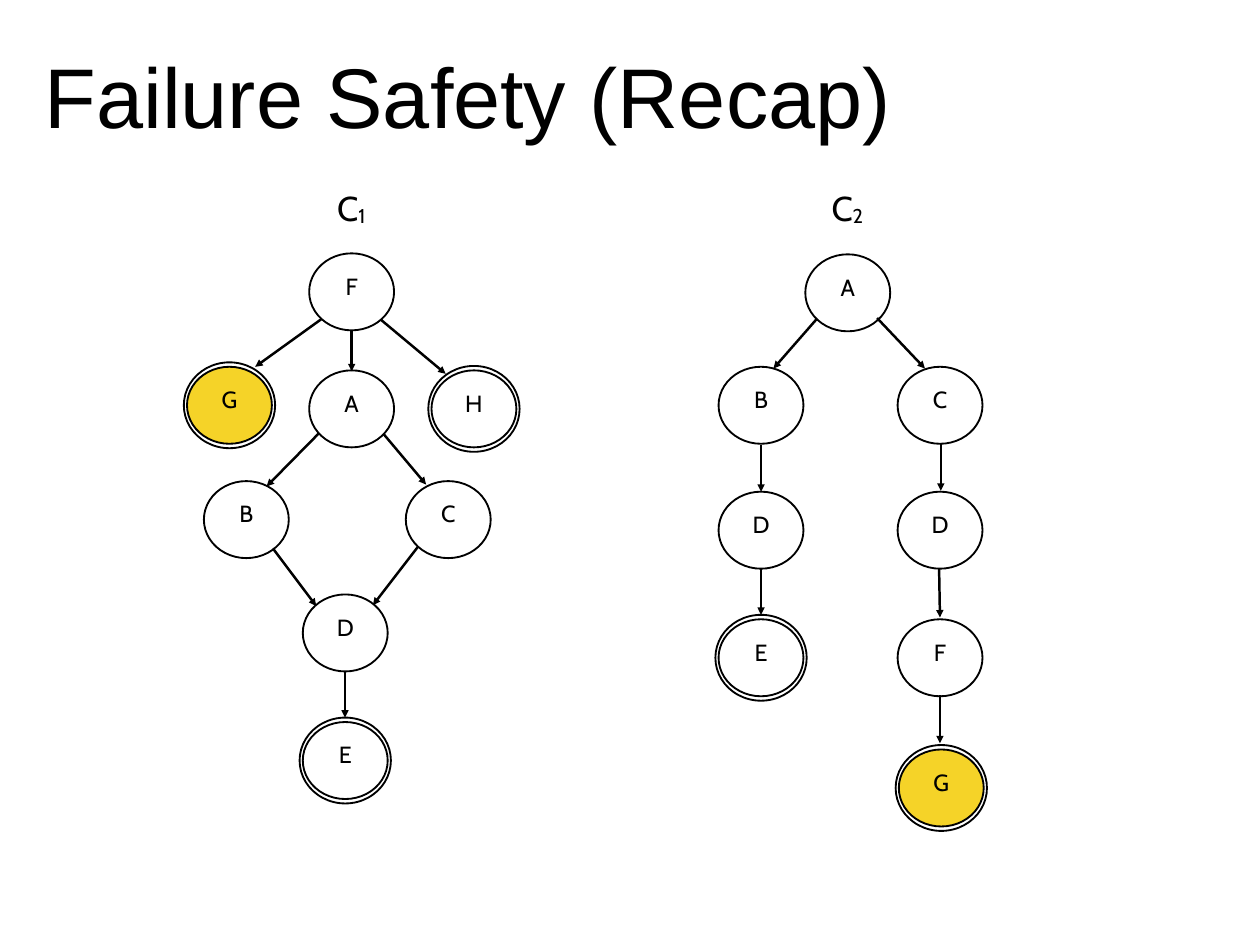
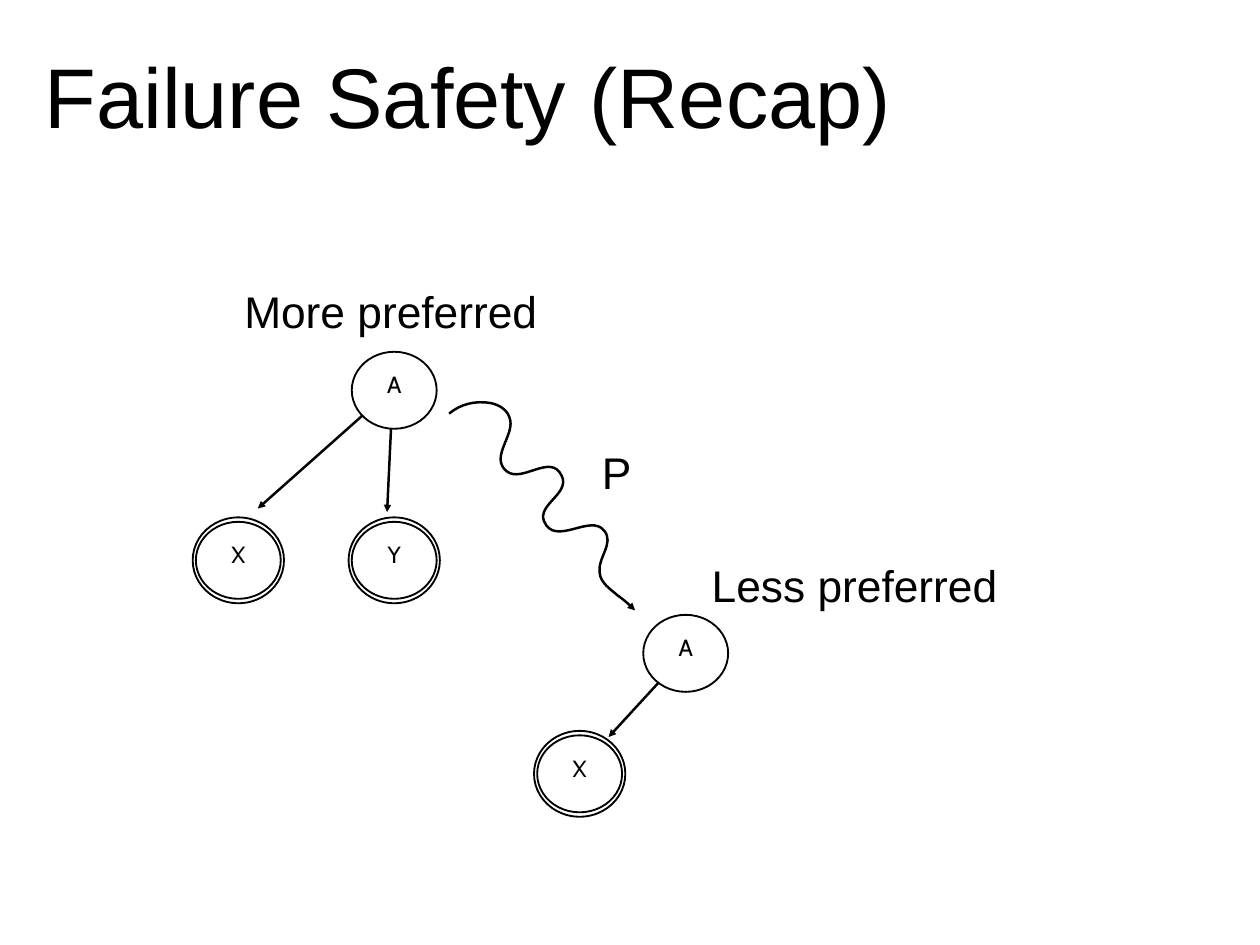
import dataclasses

import lxml.etree
import pptx
import pptx.dml.color
import pptx.enum.shapes
import pptx.enum.text
import pptx.oxml.ns
import pptx.util

Pt = pptx.util.Pt
Align = pptx.enum.text.PP_ALIGN
Anchor = pptx.enum.text.MSO_ANCHOR
qn = pptx.oxml.ns.qn

BLACK = pptx.dml.color.RGBColor(0x00, 0x00, 0x00)
WHITE = pptx.dml.color.RGBColor(0xFF, 0xFF, 0xFF)
YELLOW = pptx.dml.color.RGBColor(0xF5, 0xD3, 0x28)
BODY_FONT = "Arial"
NODE_FONT = "Cabin"
NODE_SIZE = (69, 62.6)
RING_SIZE = (74.2, 69.8)
OUTLINE_WIDTH = 1.5
ARROW_WIDTH = 2


@dataclasses.dataclass(frozen=True)
class Node:
    label: str
    x: float
    y: float
    final: bool = False
    fill: pptx.dml.color.RGBColor = WHITE


@dataclasses.dataclass(frozen=True)
class Arrow:
    x1: float
    y1: float
    x2: float
    y2: float


@dataclasses.dataclass(frozen=True)
class Caption:
    text: str
    left: float
    top: float
    width: float
    height: float
    size: float = 36
    font: str = BODY_FONT
    subscript: str = ""
    align: Align = Align.CENTER
    anchor: Anchor = Anchor.MIDDLE
    wrap: bool = False


TITLE = Caption("Failure Safety (Recap)", 31.7, 31.7, 990.7, 91.4, size=68.8,
                align=Align.LEFT, anchor=Anchor.BOTTOM, wrap=True)

LEFT_X, RIGHT_X = 618.5, 764
TREE_NODES = [
    Node("F", 285.8, 237.2),
    Node("G", 186.5, 329.4, final=True, fill=YELLOW),
    Node("A", 285.8, 332.3),
    Node("H", 385.2, 332.3, final=True),
    Node("B", 200.2, 422.3),
    Node("C", 364.3, 422.3),
    Node("D", 280.6, 514.4),
    Node("E", 280.6, 618.1, final=True),
    Node("A", 689, 238),
    Node("B", LEFT_X, 329.4),
    Node("D", LEFT_X, 430.9),
    Node("E", LEFT_X, 534.6, final=True),
    Node("C", RIGHT_X, 329.4),
    Node("D", RIGHT_X, 430.9),
    Node("F", RIGHT_X, 534.6),
    Node("G", 765, 640.4, final=True, fill=YELLOW),
]
TREE_ARROWS = [
    Arrow(261.4, 259.2, 207.4, 298.1),
    Arrow(285.8, 268.6, 285.8, 301.7),
    Arrow(309.6, 259.9, 362.2, 303.8),
    Arrow(259.2, 352.1, 216.7, 395.3),
    Arrow(311.8, 352.8, 346.3, 393.8),
    Arrow(221.8, 445.7, 257, 492.5),
    Arrow(339.8, 444.2, 303.1, 491.8),
    Arrow(280.4, 545.8, 280.4, 583.2),
    Arrow(663.8, 259.2, 628.6, 299.5),
    Arrow(712.8, 258.5, 751.7, 299.5),
    Arrow(LEFT_X, 361.4, LEFT_X, 399.6),
    Arrow(LEFT_X, 462.2, LEFT_X, 499.7),
    Arrow(764.6, 360.7, 764.6, 398.9),
    Arrow(763.2, 462.2, 763.9, 501.8),
    Arrow(763.9, 565.2, 763.9, 604.1),
]
TREE_CAPTIONS = [
    Caption("C", left, 148.3, 56.9, 41, size=28, font=NODE_FONT,
            subscript=number, wrap=True)
    for left, number in ((257, "1"), (660.2, "2"))
]

PREFERENCE_NODES = [
    Node("A", 320.4, 317.2),
    Node("X", 193.7, 455.4, final=True),
    Node("Y", 320.4, 455.4, final=True),
    Node("A", 557.3, 531),
    Node("X", 471.1, 628.9, final=True),
]
PREFERENCE_ARROWS = [
    Arrow(319.7, 315.4, 209.5, 413.3),
    Arrow(319, 322.6, 314.6, 416.2),
    Arrow(558.7, 529.2, 494.6, 599),
]
PREFERENCE_CAPTIONS = [
    Caption("More preferred", 193, 226.8, 249.1, 51.1),
    Caption("P", 484.6, 357.8, 31, 51.1),
    Caption("Less preferred", 572.4, 449.3, 244.1, 51.1),
]
WAVE_START = (365, 336.2)
WAVE_CURVES = [
    ((374.4, 328.3), (386.6, 325.4), (398.9, 327.6)),
    ((405.4, 329), (411.8, 332.6), (414, 339.1)),
    ((419.8, 352.8), (397.4, 371.5), (411.8, 383)),
    ((424.1, 393.1), (447.8, 367.9), (456.5, 386.6)),
    ((463.7, 401), (437, 409.7), (442.1, 423.4)),
    ((450.7, 445), (480.2, 416.9), (491, 431.3)),
    ((499.7, 441.4), (485.3, 453.6), (487.4, 465.8)),
    ((488.2, 473.8), (496.1, 478.8), (501.8, 483.8)),
    ((506.9, 487.4), (511.9, 491.8), (516.2, 496.1)),
]


def write(frame, text: str, *, size: float, font: str, subscript: str = "",
          align: Align = Align.CENTER, anchor: Anchor = Anchor.MIDDLE,
          inset: float = 0, spacing: float = 1, wrap: bool = True) -> None:
    frame.word_wrap = wrap
    frame.vertical_anchor = anchor
    frame.margin_left = frame.margin_right = Pt(inset)
    frame.margin_top = frame.margin_bottom = Pt(inset)
    paragraph = frame.paragraphs[0]
    paragraph.alignment = align
    paragraph.line_spacing = spacing
    for part in filter(None, (text, subscript)):
        run = paragraph.add_run()
        run.text = part
        run.font.size = Pt(size)
        run.font.name = font
        run.font.color.rgb = BLACK
    if subscript:
        run.font._element.set("baseline", "-6000")


def draw_caption(slide, caption: Caption) -> None:
    box = slide.shapes.add_textbox(Pt(caption.left), Pt(caption.top),
                                   Pt(caption.width), Pt(caption.height))
    write(box.text_frame, caption.text, size=caption.size, font=caption.font,
          subscript=caption.subscript, align=caption.align,
          anchor=caption.anchor, inset=4.5, wrap=caption.wrap)


def draw_ellipse(slide, node: Node, size: tuple[float, float],
                 fill: pptx.dml.color.RGBColor):
    width, height = size
    ellipse = slide.shapes.add_shape(
        pptx.enum.shapes.MSO_SHAPE.OVAL, Pt(node.x - width / 2),
        Pt(node.y - height / 2), Pt(width), Pt(height))
    ellipse.shadow.inherit = False
    ellipse.fill.solid()
    ellipse.fill.fore_color.rgb = fill
    ellipse.line.color.rgb = BLACK
    ellipse.line.width = Pt(OUTLINE_WIDTH)
    return ellipse


def draw_node(slide, node: Node) -> None:
    if node.final:
        draw_ellipse(slide, node, RING_SIZE, WHITE)
    disc = draw_ellipse(slide, node, NODE_SIZE, node.fill)
    write(disc.text_frame, node.label, size=19, font=NODE_FONT, spacing=0.4)


def style_arrow(line) -> None:
    line.color.rgb = BLACK
    line.width = Pt(ARROW_WIDTH)
    lxml.etree.SubElement(line._get_or_add_ln(), qn("a:tailEnd"), type="triangle")


def draw_arrow(slide, arrow: Arrow) -> None:
    connector = slide.shapes.add_connector(
        pptx.enum.shapes.MSO_CONNECTOR.STRAIGHT,
        Pt(arrow.x1), Pt(arrow.y1), Pt(arrow.x2), Pt(arrow.y2))
    style_arrow(connector.line)
    lxml.etree.SubElement(connector._element.spPr, qn("a:effectLst"))


def draw_wave(slide) -> None:
    builder = slide.shapes.build_freeform(Pt(WAVE_START[0]), Pt(WAVE_START[1]))
    builder.add_line_segments(
        [(Pt(curve[-1][0]), Pt(curve[-1][1])) for curve in WAVE_CURVES], close=False)
    wave = builder.convert_to_shape()
    wave.shadow.inherit = False
    wave.fill.background()
    style_arrow(wave.line)
    segments = list(wave._element.iter(qn("a:lnTo")))
    for segment, curve in zip(segments, WAVE_CURVES):
        bezier = lxml.etree.Element(qn("a:cubicBezTo"))
        for x, y in curve:
            lxml.etree.SubElement(bezier, qn("a:pt"), x=str(Pt(x) - wave.left),
                                  y=str(Pt(y) - wave.top))
        segment.getparent().replace(segment, bezier)


def add_titled_slide(deck, captions: list[Caption]):
    slide = deck.slides.add_slide(deck.slide_layouts[6])
    for caption in (TITLE, *captions):
        draw_caption(slide, caption)
    return slide


def main() -> None:
    deck = pptx.Presentation()
    deck.slide_width, deck.slide_height = Pt(1024), Pt(768)

    trees = add_titled_slide(deck, TREE_CAPTIONS)
    for node in TREE_NODES:
        draw_node(trees, node)
    for arrow in TREE_ARROWS:
        draw_arrow(trees, arrow)

    preference = add_titled_slide(deck, PREFERENCE_CAPTIONS)
    for arrow in PREFERENCE_ARROWS:
        draw_arrow(preference, arrow)
    draw_wave(preference)
    for node in PREFERENCE_NODES:
        draw_node(preference, node)

    deck.save("out.pptx")


if __name__ == "__main__":
    main()
